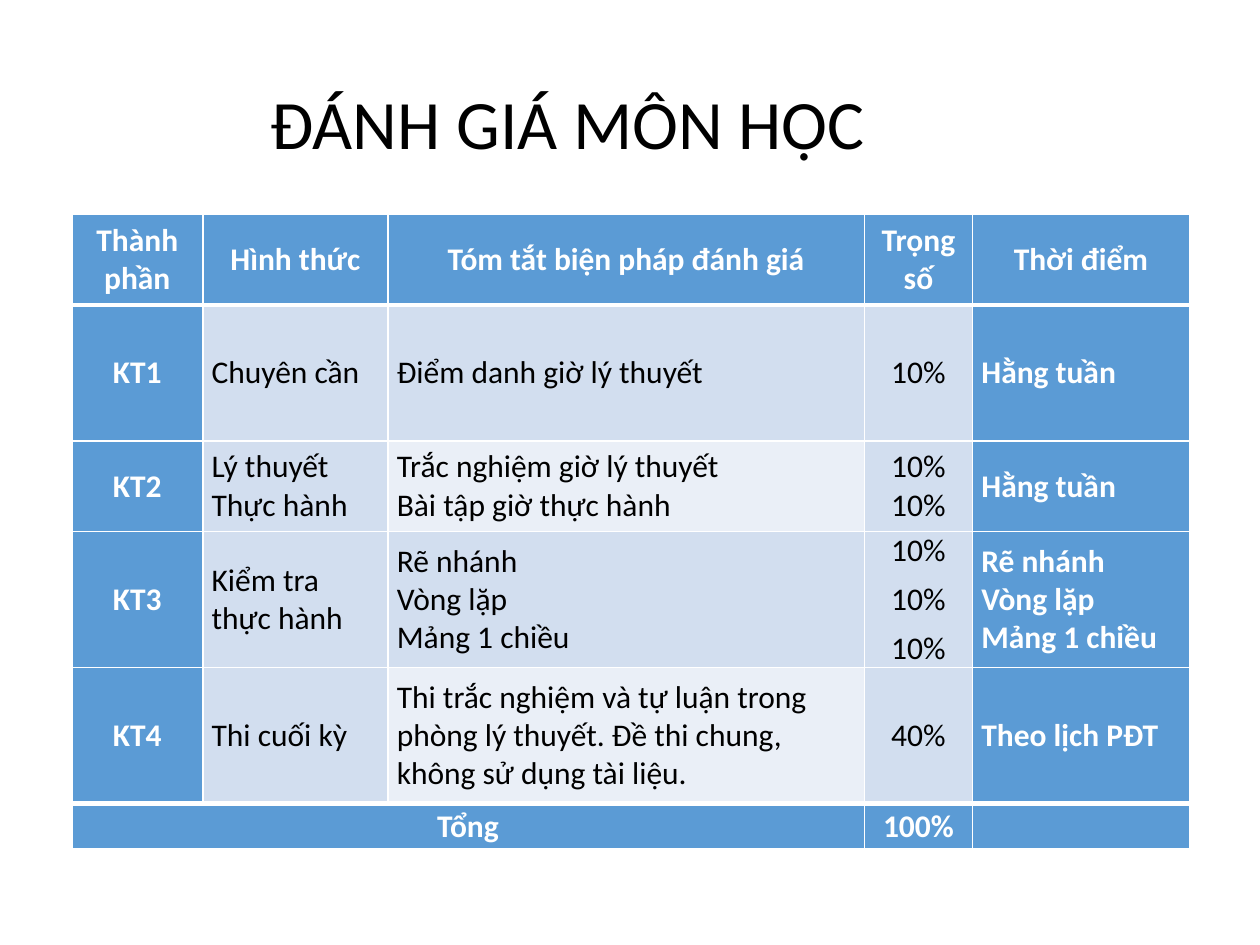
from dataclasses import dataclass

from lxml import etree
from pptx import Presentation
from pptx.dml.color import RGBColor
from pptx.enum.text import MSO_ANCHOR, PP_ALIGN
from pptx.oxml.ns import qn
from pptx.util import Inches, Pt

LEFT, CENTER = PP_ALIGN.LEFT, PP_ALIGN.CENTER
MIDDLE = MSO_ANCHOR.MIDDLE


@dataclass(frozen=True)
class Theme:
    font: str = "Calibri"
    title_size: float = 39.6
    body_size: float = 18
    ink: str = "000000"
    white: str = "FFFFFF"
    accent: str = "5B9BD5"
    band: str = "D2DEEF"
    pale: str = "EAEFF7"
    thin: float = 1
    thick: float = 3


THEME = Theme()

COL_WIDTHS = [1.04, 1.47, 3.78, 0.86, 1.72]
ROW_HEIGHTS = [0.72, 1.08, 0.72, 1.08, 1.08, 0.36]
DETAIL_COL, WEIGHT_COL = 2, 3
SPACED_ROWS = (3, 4)
ROWS = [
    ["Thành phần", "Hình thức", "Tóm tắt biện pháp đánh giá", "Trọng số", "Thời điểm"],
    ["KT1", "Chuyên cần", "Điểm danh giờ lý thuyết", "10%", "Hằng tuần"],
    ["KT2", "Lý thuyết\nThực hành",
     "Trắc nghiệm giờ lý thuyết\nBài tập giờ thực hành", "10%\n10%", "Hằng tuần"],
    ["KT3", "Kiểm tra thực hành", "Rẽ nhánh\nVòng lặp\nMảng 1 chiều",
     "10%\n10%\n10%", "Rẽ nhánh\nVòng lặp\nMảng 1 chiều"],
    ["KT4", "Thi cuối kỳ",
     "Thi trắc nghiệm và tự luận trong phòng lý thuyết. "
     "Đề thi chung, không sử dụng tài liệu.", "40%", "Theo lịch PĐT"],
    ["Tổng", "", "", "100%", ""],
]


def write_text(tf, text, size=THEME.body_size, color=THEME.ink, bold=False,
               align=LEFT, before=0, line_spacing=None):
    tf.word_wrap = True
    for i, line in enumerate(text.split("\n")):
        p = tf.paragraphs[0] if i == 0 else tf.add_paragraph()
        p.alignment = align
        p.space_before = Pt(before)
        p.line_spacing = line_spacing
        r = p.add_run()
        r.text = line
        r.font.name = THEME.font
        r.font.size = Pt(size)
        r.font.bold = bold
        r.font.color.rgb = RGBColor.from_string(color)


def add_title(slide, text):
    sp = slide.shapes.add_textbox(Inches(2.05), Inches(0.76), Inches(7.48), Inches(0.5))
    sp.text_frame.vertical_anchor = MIDDLE
    write_text(sp.text_frame, text, size=THEME.title_size, line_spacing=0.9)


def set_borders(cell, top, bottom):
    tc_pr = cell._tc.get_or_add_tcPr()
    widths = {"lnL": THEME.thin, "lnR": THEME.thin, "lnT": top, "lnB": bottom}
    for tag, width in widths.items():
        ln = etree.SubElement(tc_pr, qn(f"a:{tag}"), w=str(Pt(width)))
        fill = etree.SubElement(ln, qn("a:solidFill"))
        etree.SubElement(fill, qn("a:srgbClr"), val=THEME.white)


def style_cell(cell, row, col, text):
    last_row, last_col = len(ROWS) - 1, len(COL_WIDTHS) - 1
    edge_row = row in (0, last_row)
    accented = edge_row or col in (0, last_col)
    centered = edge_row or col in (0, WEIGHT_COL)
    spaced = col == WEIGHT_COL and row in SPACED_ROWS
    if accented:
        fill = THEME.accent
    elif col == DETAIL_COL and row % 2 == 0:
        fill = THEME.pale
    else:
        fill = THEME.band

    set_borders(cell,
                top=THEME.thick if row in (1, last_row) else THEME.thin,
                bottom=THEME.thick if row in (0, last_row - 1) else THEME.thin)
    cell.fill.solid()
    cell.fill.fore_color.rgb = RGBColor.from_string(fill)
    cell.vertical_anchor = MIDDLE
    cell.margin_left = cell.margin_right = Inches(0.07)
    cell.margin_top = cell.margin_bottom = 0
    if text:
        write_text(cell.text_frame, text, bold=accented,
                   color=THEME.white if accented else THEME.ink,
                   align=CENTER if centered else LEFT,
                   before=6 if spaced else 0)


def add_assessment_table(slide):
    table = slide.shapes.add_table(
        len(ROWS), len(COL_WIDTHS), Inches(0.57), Inches(1.7),
        Inches(sum(COL_WIDTHS)), Inches(sum(ROW_HEIGHTS))).table
    for column, width in zip(table.columns, COL_WIDTHS):
        column.width = Inches(width)
    for row, height in zip(table.rows, ROW_HEIGHTS):
        row.height = Inches(height)
    for i, texts in enumerate(ROWS):
        for j, text in enumerate(texts):
            style_cell(table.cell(i, j), i, j, text)
    total = len(ROWS) - 1
    table.cell(total, 0).merge(table.cell(total, DETAIL_COL))


def main():
    prs = Presentation()
    prs.slide_width, prs.slide_height = Inches(10), Inches(7.5)
    slide = prs.slides.add_slide(prs.slide_layouts[6])
    add_title(slide, "ĐÁNH GIÁ MÔN HỌC")
    add_assessment_table(slide)
    prs.save("out.pptx")


if __name__ == "__main__":
    main()
